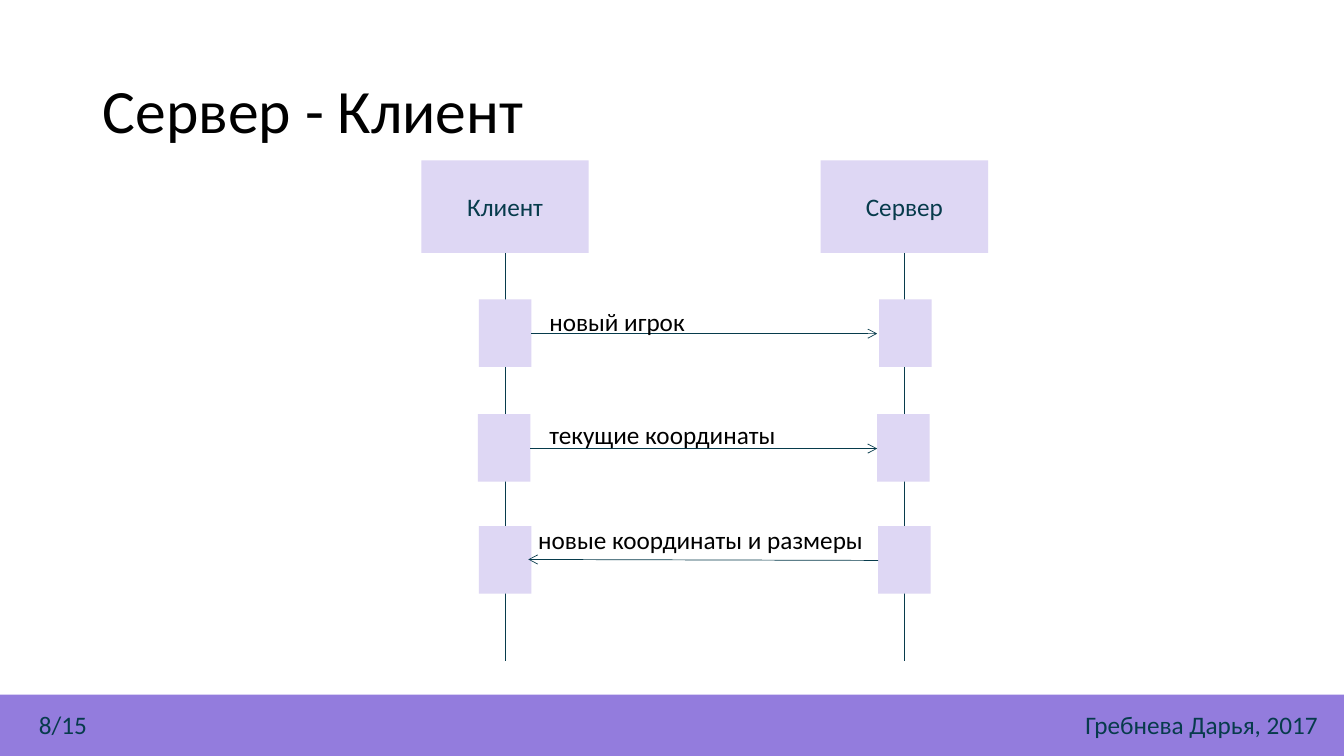
from lxml import etree
from pptx import Presentation
from pptx.dml.color import RGBColor
from pptx.enum.shapes import MSO_CONNECTOR, MSO_SHAPE
from pptx.enum.text import MSO_ANCHOR, MSO_AUTO_SIZE, PP_ALIGN
from pptx.oxml.ns import qn
from pptx.util import Pt

LINE = MSO_CONNECTOR.STRAIGHT
RECT = MSO_SHAPE.RECTANGLE
MID = MSO_ANCHOR.MIDDLE
FIT, FIXED = MSO_AUTO_SIZE.SHAPE_TO_FIT_TEXT, MSO_AUTO_SIZE.NONE
LEFT, MIDST, RIGHT = PP_ALIGN.LEFT, PP_ALIGN.CENTER, PP_ALIGN.RIGHT
PX = 9144
COLORS = {"ink": "073B4C", "black": "000000", "pale": "DED7F4", "band": "937CDD"}


class Page:
    """Holds the style and the current slide, and draws its elements."""

    def __init__(self, deck):
        self.font = "Calibri"
        self.slide = deck.slides.add_slide(deck.slide_layouts[5])

    def color(self, name):
        return RGBColor.from_string(COLORS[name])

    def text(self, frame, words, size, color, align):
        frame.text = words
        para = frame.paragraphs[0]
        para.alignment = align
        font = para.runs[0].font
        font.name, font.size = self.font, Pt(size)
        font.color.rgb = self.color(color)

    def title(self, words, *box):
        shape = self.slide.shapes.title
        shape.left, shape.top, shape.width, shape.height = [v * PX for v in box]
        frame = shape.text_frame
        self.text(frame, words, 44, "black", LEFT)
        frame.vertical_anchor = MID
        frame.auto_size = FIXED
        frame.paragraphs[0].line_spacing = 0.9

    def rect(self, box, fill, words=""):
        shape = self.slide.shapes.add_shape(RECT, *[v * PX for v in box])
        shape.shadow.inherit = False
        shape.fill.solid()
        shape.fill.fore_color.rgb = self.color(fill)
        shape.line.fill.background()
        if words:
            self.text(shape.text_frame, words, 18, "ink", MIDST)
            shape.text_frame.vertical_anchor = MID

    def label(self, words, box, color="black", align=LEFT, wrap=False):
        shape = self.slide.shapes.add_textbox(*[v * PX for v in box])
        frame = shape.text_frame
        frame.word_wrap = wrap
        frame.auto_size = FIT
        self.text(frame, words, 18, color, align)

    def line(self, *ends, arrow=False):
        link = self.slide.shapes.add_connector(LINE, *[v * PX for v in ends])
        link.line.color.rgb = self.color("ink")
        link.line.width = Pt(0.5)
        props = link.element.spPr
        if arrow:
            etree.SubElement(props.find(qn("a:ln")), qn("a:tailEnd"), type="arrow")
        etree.SubElement(props, qn("a:effectLst"))


def main():
    deck = Presentation()
    deck.slide_width, deck.slide_height = 1333 * PX, 750 * PX
    page = Page(deck)
    page.title("Сервер - Клиент", 92, 40, 1150, 145)
    page.rect((0, 689, 1333, 61), "band")
    page.label("8/15", (15, 699, 81, 40), "ink", RIGHT, True)
    page.label("Гребнева Дарья, 2017", (1033, 699, 284, 40), "ink", RIGHT, True)

    tops = (297, 411, 522)
    actors = (("Клиент", 418, (475, 474, 475)), ("Сервер", 814, (872, 870, 871)))
    for name, left, bars in actors:
        page.rect((left, 159, 166, 92), "pale", name)
        page.line(left + 83, 251, left + 83, 656)
        for x, y in zip(bars, tops):
            page.rect((x, y, 52, 67), "pale")

    calls = (
        ("новый игрок", (535, 299, 156, 40), (527, 331, 870, 331)),
        ("текущие координаты", (535, 411, 247, 40), (526, 445, 870, 445)),
        ("новые координаты и размеры", (524, 515, 346, 40), (871, 556, 524, 555)),
    )
    for words, box, ends in calls:
        page.line(*ends, arrow=True)
        page.label(words, box)
    deck.save("out.pptx")


if __name__ == "__main__":
    main()
